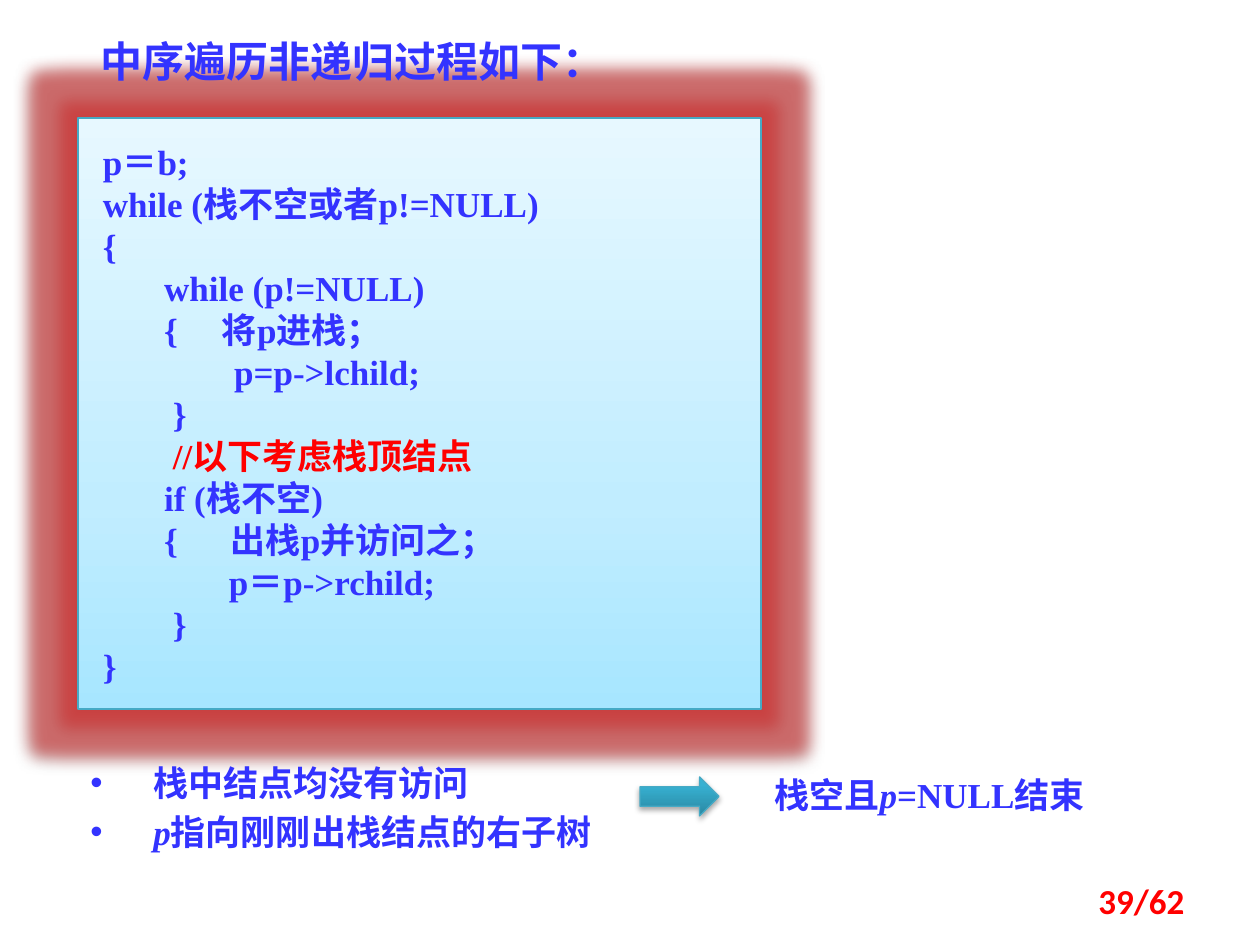
from dataclasses import dataclass
from typing import Optional

from lxml.etree import SubElement
from pptx import Presentation
from pptx.dml.color import RGBColor
from pptx.enum.shapes import MSO_SHAPE
from pptx.enum.text import MSO_ANCHOR, PP_ALIGN
from pptx.oxml.ns import qn
from pptx.util import Pt

PX = 914400 / 126
BLUE = RGBColor(0x33, 0x33, 0xFF)
RED = RGBColor(0xFF, 0x00, 0x00)
EDGE = RGBColor(0x46, 0xAA, 0xC5)
GLOW = RGBColor(0xD0, 0x30, 0x30)
BLACK = RGBColor(0x00, 0x00, 0x00)
PALE_STOPS = ((0, RGBColor(0xA7, 0xE6, 0xFF)), (35, RGBColor(0xC1, 0xED, 0xFF)),
              (100, RGBColor(0xE7, 0xF8, 0xFF)))
TEAL_STOPS = ((0, RGBColor(0x2A, 0x88, 0xA2)), (80, RGBColor(0x37, 0xB1, 0xD2)),
              (100, RGBColor(0x34, 0xB4, 0xD6)))
SERIF = "Times New Roman"
CHINESE = "Noto Sans CJK SC"


@dataclass(frozen=True)
class Area:
    left: int
    top: int
    width: int
    height: int

    def emu(self):
        return [px(value) for value in (self.left, self.top, self.width, self.height)]


@dataclass(frozen=True)
class Span:
    text: str
    italic: Optional[bool] = None
    font: Optional[str] = None


@dataclass(frozen=True)
class Line:
    spans: tuple
    size: int = 20
    color: RGBColor = BLUE
    font: str = SERIF
    align: PP_ALIGN = PP_ALIGN.LEFT
    bullet: bool = False


@dataclass(frozen=True)
class Label:
    area: Area
    lines: tuple
    anchor: MSO_ANCHOR = MSO_ANCHOR.TOP


CODE = """p＝b;
while (栈不空或者p!=NULL)
{
       while (p!=NULL)
       {     将p进栈；
               p=p->lchild;
        }
        //以下考虑栈顶结点
       if (栈不空)
       {      出栈p并访问之；
　　       p＝p->rchild;
        }
}"""

LABELS = (
    Label(Area(88, 29, 581, 63),
          (Line((Span("中序遍历非递归"), Span("过程如下：", font=CHINESE)), size=24),)),
    Label(Area(78, 748, 532, 112),
          (Line((Span("栈中结点均没有访问"),), bullet=True),
           Line((Span("p", True), Span("指向刚刚出栈结点的右子树")), bullet=True))),
    Label(Area(718, 767, 423, 55),
          (Line((Span("栈空且"), Span("p", True), Span("=NULL结束")),
                align=PP_ALIGN.CENTER),)),
    Label(Area(903, 876, 294, 50),
          (Line((Span("39/62"),), color=RED, font="Calibri", align=PP_ALIGN.RIGHT),),
          MSO_ANCHOR.MIDDLE),
)


def px(value: int) -> int:
    return round(value * PX)


def add_bullet(paragraph) -> None:
    paragraph.line_spacing = Pt(28)
    properties = paragraph._p.get_or_add_pPr()
    properties.set("marL", "457200")
    properties.set("indent", "-457200")
    SubElement(properties, qn("a:buFont"), typeface="Arial")
    SubElement(properties, qn("a:buChar"), char="•")


def write_lines(frame, lines: tuple) -> None:
    frame.word_wrap = True
    for index, line in enumerate(lines):
        paragraph = frame.paragraphs[0] if index == 0 else frame.add_paragraph()
        paragraph.alignment = line.align
        if line.bullet:
            add_bullet(paragraph)
        font = paragraph.font
        font.size, font.bold, font.name = Pt(line.size), True, line.font
        font.color.rgb = line.color
        SubElement(font._element, qn("a:ea"), typeface=CHINESE)
        for span in line.spans:
            run = paragraph.add_run()
            run.text = span.text
            if span.italic:
                run.font.italic = True
            if span.font:
                run.font.name = span.font


def add_label(page, label: Label) -> None:
    frame = page.shapes.add_textbox(*label.area.emu()).text_frame
    frame.vertical_anchor = label.anchor
    write_lines(frame, label.lines)


def add_color(parent, color: RGBColor, alpha: int = 100) -> None:
    element = SubElement(parent, qn("a:srgbClr"), val=str(color))
    if alpha < 100:
        SubElement(element, qn("a:alpha"), val=str(alpha * 1000))


def add_gradient_shape(page, kind: MSO_SHAPE, area: Area, stops: tuple,
                       shadow_alpha: int, shadow_distance: int, glow: bool = False):
    shape = page.shapes.add_shape(kind, *area.emu())
    shape.shadow.inherit = False
    shape.line.color.rgb = EDGE
    shape.line.width = Pt(0.75)
    shape.fill.gradient()
    properties = shape._element.spPr
    gradient = properties.find(qn("a:gradFill"))
    for child in list(gradient):
        gradient.remove(child)
    stop_list = SubElement(gradient, qn("a:gsLst"))
    for position, color in stops:
        add_color(SubElement(stop_list, qn("a:gs"), pos=str(position * 1000)), color)
    SubElement(gradient, qn("a:lin"), ang="16200000", scaled="0")
    effects = properties.find(qn("a:effectLst"))
    if glow:
        add_color(SubElement(effects, qn("a:glow"), rad=str(Pt(18))), GLOW, 60)
    shadow = SubElement(effects, qn("a:outerShdw"), blurRad="40000",
                        dist=str(shadow_distance), dir="5400000", rotWithShape="0")
    add_color(shadow, BLACK, shadow_alpha)
    return shape


def main() -> None:
    deck = Presentation()
    deck.slide_width, deck.slide_height = px(1260), px(945)
    page = deck.slides.add_slide(deck.slide_layouts[6])

    code_box = add_gradient_shape(page, MSO_SHAPE.RECTANGLE, Area(78, 118, 683, 591),
                                  PALE_STOPS, 38, 20000, glow=True)
    frame = code_box.text_frame
    frame.margin_left, frame.margin_right = px(25), px(13)
    frame.margin_top = frame.margin_bottom = px(20)
    frame.vertical_anchor = MSO_ANCHOR.MIDDLE
    write_lines(frame, tuple(
        Line((Span(text),), color=RED if "//" in text else BLUE)
        for text in CODE.split("\n")))

    add_gradient_shape(page, MSO_SHAPE.RIGHT_ARROW, Area(640, 777, 79, 39),
                       TEAL_STOPS, 35, 23000)
    for label in LABELS:
        add_label(page, label)
    deck.save("out.pptx")


if __name__ == "__main__":
    main()
